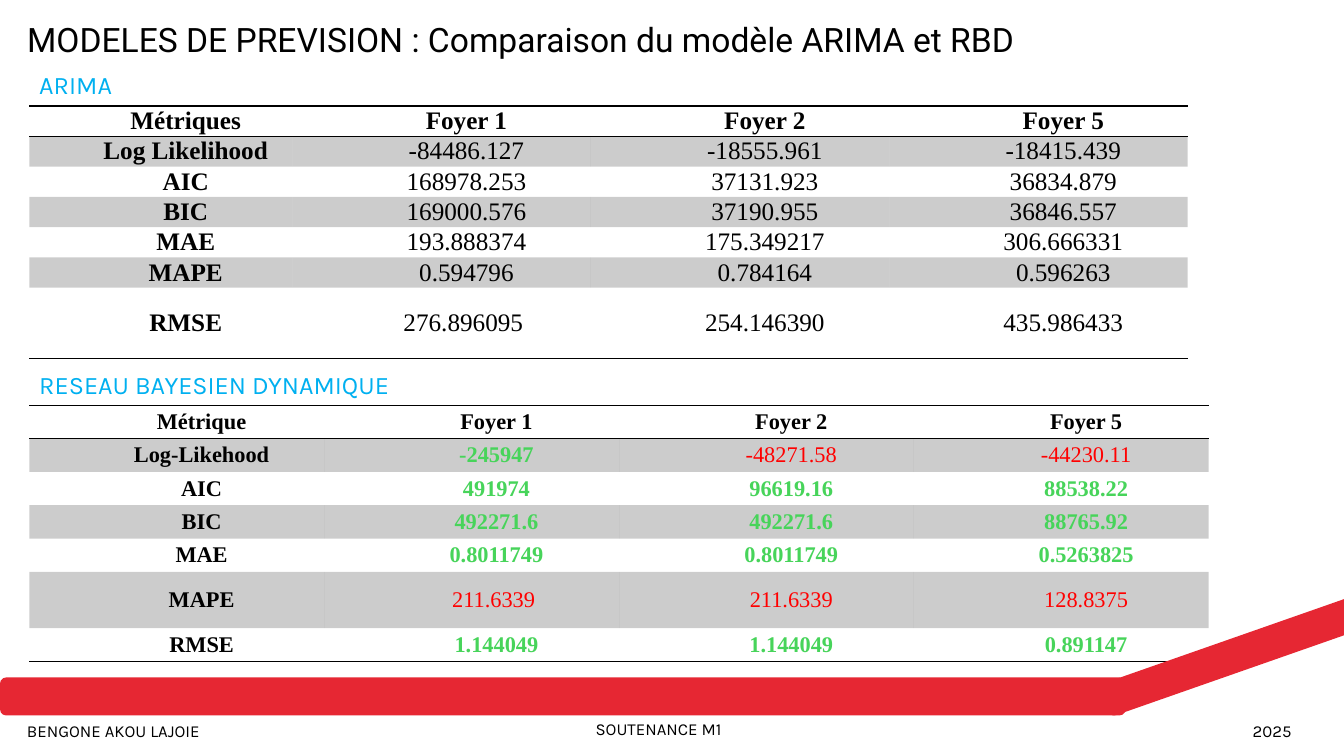
from dataclasses import dataclass

from lxml import etree
from pptx import Presentation
from pptx import util as u
from pptx.dml.color import RGBColor
from pptx.enum import shapes, text
from pptx.oxml import ns


@dataclass
class Theme:
    ink: str = "000000"
    red: str = "E62733"
    blue: str = "00B0F0"
    good: str = "47D45A"
    bad: str = "FF0000"
    head: str = "Roboto"
    body: str = "Karla"
    data: str = "Times New Roman"
    title: int = 24
    label: int = 18
    foot: int = 12
    shade: int = 20  # opacity of the banded rows, in percent
    plain: str = "{2D5ABB26-0587-4C30-8999-92F81FD0307C}"


class Deck:
    def __init__(self, theme):
        self.theme = theme
        self.prs = Presentation()
        self.prs.slide_width, self.prs.slide_height = u.Cm(33.87), u.Cm(19.05)
        self.slide = self.prs.slides.add_slide(self.prs.slide_layouts[5])

    def words(self, para, words, size, face, color, bold=False):
        run = para.add_run()
        run.text = words
        style = {"size": u.Pt(size), "name": face, "bold": bold}
        for key, value in style.items():
            setattr(run.font, key, value)
        run.font.color.rgb = RGBColor.from_string(color)

    def title(self, words, left, top, width, height):
        box = self.slide.shapes.title
        spots = {"left": left, "top": top, "width": width, "height": height}
        for key, value in spots.items():
            setattr(box, key, u.Cm(value))
        frame = box.text_frame
        looks = {"word_wrap": True, "auto_size": text.MSO_AUTO_SIZE.NONE,
                 "vertical_anchor": text.MSO_ANCHOR.TOP}
        for key, value in looks.items():
            setattr(frame, key, value)
        para = frame.paragraphs[0]
        para.alignment = text.PP_ALIGN.LEFT
        self.words(para, words, self.theme.title, self.theme.head, self.theme.ink)

    def label(self, words, left, top, width, height, size, color):
        box = self.slide.shapes.add_textbox(*map(u.Cm, (left, top, width, height)))
        box.text_frame.word_wrap = True
        para = box.text_frame.paragraphs[0]
        self.words(para, words, size, self.theme.body, color)

    def bar(self, left, top, width, height, turn=0):
        kind = shapes.MSO_SHAPE.ROUNDED_RECTANGLE
        bar = self.slide.shapes.add_shape(kind, *map(u.Cm, (left, top, width, height)))
        bar.shadow.inherit = False
        bar.fill.solid()
        bar.fill.fore_color.rgb = RGBColor.from_string(self.theme.red)
        bar.line.fill.background()
        bar.rotation = turn

    def rule(self, cell, side):
        props = cell._tc.get_or_add_tcPr()
        line = etree.SubElement(props, ns.qn(f"a:ln{side}"), w=str(u.Pt(1)))
        fill = etree.SubElement(line, ns.qn("a:solidFill"))
        etree.SubElement(fill, ns.qn("a:srgbClr"), val=self.theme.ink)

    def band(self, cell):
        cell.fill.solid()
        cell.fill.fore_color.rgb = RGBColor.from_string(self.theme.ink)
        color = cell._tc.tcPr.find(".//" + ns.qn("a:srgbClr"))
        etree.SubElement(color, ns.qn("a:alpha"), val=str(self.theme.shade * 1000))

    def cell(self, cell, words, size, color, bold):
        looks = {"margin_left": u.Cm(0.19), "margin_right": u.Cm(0.19),
                 "margin_top": 0, "margin_bottom": 0,
                 "vertical_anchor": text.MSO_ANCHOR.MIDDLE}
        for key, value in looks.items():
            setattr(cell, key, value)
        para = cell.text_frame.paragraphs[0]
        looks = {"alignment": text.PP_ALIGN.CENTER,
                 "space_before": u.Pt(6), "space_after": u.Pt(6)}
        for key, value in looks.items():
            setattr(para, key, value)
        para._p.get_or_add_pPr().set("indent", str(u.Cm(1.25)))
        self.words(para, words, size, self.theme.data, color, bold)

    def table(self, rows, left, top, widths, heights, size, paint):
        area = map(u.Cm, (left, top, sum(widths), sum(heights)))
        grid = self.slide.shapes.add_table(len(rows), len(widths), *area).table
        grid.first_row = grid.horz_banding = False
        grid._tbl.tblPr.find(ns.qn("a:tableStyleId")).text = self.theme.plain
        for col, width in zip(grid.columns, widths):
            col.width = u.Cm(width)
        for r, (row, height) in enumerate(zip(rows, heights)):
            grid.rows[r].height = u.Cm(height)
            for c, words in enumerate(row):
                cell = grid.cell(r, c)
                key = r == 0 or c == 0
                color, bold = (self.theme.ink, True) if key else paint(r, c)
                self.cell(cell, words, size, color, bold)
                if r == 0:
                    self.rule(cell, "T")
                if r in (0, len(rows) - 1):
                    self.rule(cell, "B")
                if r % 2:
                    self.band(cell)
                else:
                    cell.fill.background()


ARIMA = [
    ("Métriques", "Foyer 1", "Foyer 2", "Foyer 5"),
    ("Log Likelihood", "-84486.127", "-18555.961", "-18415.439"),
    ("AIC", "168978.253", "37131.923", "36834.879"),
    ("BIC", "169000.576", "37190.955", "36846.557"),
    ("MAE", "193.888374", "175.349217", "306.666331"),
    ("MAPE", "0.594796", "0.784164", "0.596263"),
    ("RMSE", "276.896095 ", "254.146390", "435.986433"),
]
BAYES = [
    ("Métrique", "Foyer 1", "Foyer 2", "Foyer 5"),
    ("Log-Likehood", "-245947", "-48271.58", "-44230.11"),
    ("AIC", "491974", "96619.16", "88538.22"),
    ("BIC", "492271.6", "492271.6", "88765.92"),
    ("MAE", "0.8011749", "0.8011749", "0.5263825"),
    ("MAPE", "211.6339 ", "211.6339", "128.8375"),
    ("RMSE", "1.144049", "1.144049", "0.891147"),
]
WORSE = {(1, 2), (1, 3), (5, 1), (5, 2), (5, 3)}


def main():
    look = Theme()
    deck = Deck(look)

    def plain(r, c):
        return look.ink, False

    def score(r, c):
        return (look.bad, False) if (r, c) in WORSE else (look.good, True)

    # Title
    deck.title("MODELES DE PREVISION : Comparaison du modèle ARIMA et RBD",
               0.43, 0.36, 31.06, 2.31)

    # Bayesian network results, under the red band
    deck.table(BAYES, 0.74, 10.21, [7.43] * 4, [0.84] * 5 + [1.42, 0.84], 16, score)

    # Red band
    deck.bar(0, 17.07, 28.37, 0.96)
    deck.bar(27.2, 13.44, 22.96, 0.86, 340.7)

    # Footer
    for words, left, top in (("SOUTENANCE M1", 14.76, 17.98),
                             ("BENGONE AKOU LAJOIE", 0.43, 18.03),
                             ("2025", 31.32, 18.03)):
        deck.label(words, left, top, 7.82, 0.76, look.foot, look.ink)

    # ARIMA results
    deck.table(ARIMA, 0.74, 2.67, [6.63] + [7.52] * 3, [0.76] * 6 + [1.78], 18, plain)

    # Table headings
    for words, top in (("ARIMA", 1.63), ("RESEAU BAYESIEN DYNAMIQUE", 9.17)):
        deck.label(words, 0.74, top, 15.49, 1.04, look.label, look.blue)

    deck.prs.save("out.pptx")


if __name__ == "__main__":
    main()
